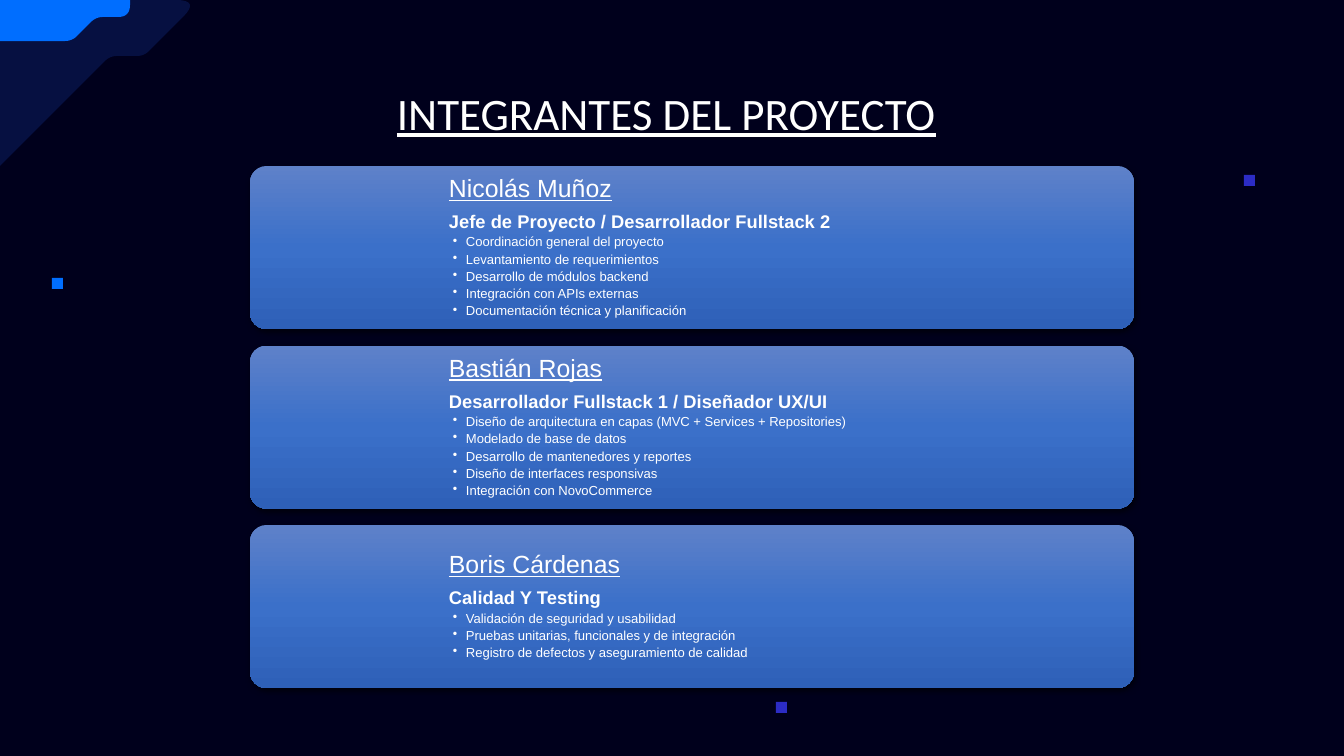
from copy import deepcopy

from lxml import etree
from pptx import Presentation
from pptx import util as u
from pptx.dml.color import RGBColor
from pptx.enum import shapes, text
from pptx.oxml.ns import qn

EMU_PER_PX = 914400 / 134.4
COLORS = {
    "background": "00001C",
    "navy": "061041",
    "azure": "006EFF",
    "violet": "2C2CC5",
    "white": "FFFFFF",
    "shadow": "000000",
    "card_top": "5E81C9",
    "card_middle": "3B70C9",
    "card_bottom": "2E60B8",
}
MEMBERS = [
    ("Nicolás Muñoz", "Jefe de Proyecto / Desarrollador Fullstack 2", [
        "Coordinación general del proyecto",
        "Levantamiento de requerimientos",
        "Desarrollo de módulos backend",
        "Integración con APIs externas",
        "Documentación técnica y planificación",
    ]),
    ("Bastián Rojas", "Desarrollador Fullstack 1 / Diseñador UX/UI", [
        "Diseño de arquitectura en capas (MVC + Services + Repositories)",
        "Modelado de base de datos",
        "Desarrollo de mantenedores y reportes",
        "Diseño de interfaces responsivas",
        "Integración con NovoCommerce",
    ]),
    ("Boris Cárdenas", "Calidad Y Testing", [
        "Validación de seguridad y usabilidad",
        "Pruebas unitarias, funcionales y de integración",
        "Registro de defectos y aseguramiento de calidad",
    ]),
]


def px(length):
    return u.Emu(round(length * EMU_PER_PX))


def rgb(name):
    return RGBColor.from_string(COLORS[name])


def paint(shape, color):
    shape.shadow.inherit = False
    shape.fill.solid()
    shape.fill.fore_color.rgb = rgb(color)
    shape.line.fill.background()


def add_frame(slide, box, inset_x, inset_y):
    frame = slide.shapes.add_textbox(*map(px, box)).text_frame
    frame.word_wrap = True
    frame.vertical_anchor = text.MSO_ANCHOR.MIDDLE
    frame.margin_left = frame.margin_right = px(inset_x)
    frame.margin_top = frame.margin_bottom = px(inset_y)
    return frame


def write(frame, words, size, font="Arial", bold=False, underline=False,
          before=0, spacing=1.0, bullet=False):
    """Fill the frame's empty first paragraph, or add one after the last."""
    paragraph = frame.paragraphs[0] if not frame.text else frame.add_paragraph()
    paragraph.line_spacing = spacing
    paragraph.space_before = u.Pt(before)
    run = paragraph.add_run()
    run.text = words
    run.font.name, run.font.size = font, u.Pt(size)
    run.font.bold, run.font.underline = bold, underline
    run.font.color.rgb = rgb("white")
    if bullet:
        properties = paragraph._p.get_or_add_pPr()
        properties.set("marL", str(px(17)))
        properties.set("indent", str(px(-13)))
        color = etree.SubElement(properties, qn("a:buClr"))
        etree.SubElement(color, qn("a:srgbClr"), val=COLORS["white"])
        etree.SubElement(properties, qn("a:buChar"), char="•")


def rounded_outline(corners):
    """Turn (x, y, trim) corners into points, each corner cut back by its trim."""
    points = []
    for i, (x, y, trim) in enumerate(corners):
        if not trim:
            points.append((x, y))
            continue
        ends = []
        for nx, ny, _ in (corners[i - 1], corners[(i + 1) % len(corners)]):
            share = trim / ((nx - x) ** 2 + (ny - y) ** 2) ** 0.5
            ends.append((x + (nx - x) * share, y + (ny - y) * share))
        (ax, ay), (bx, by) = ends
        for t in (step / 8 for step in range(9)):
            a, c, b = (1 - t) ** 2, 2 * t * (1 - t), t * t
            points.append((a * ax + c * x + b * bx, a * ay + c * y + b * by))
    return points


def add_corner_ornament(slide, left, top):
    layers = [
        ("navy", [(0, 0, 0), (200, 0, 24), (144, 56, 7), (110, 56, 7), (0, 166, 0)]),
        ("azure", [(0, 0, 0), (130, 0, 0), (130, 17, 12), (96, 17, 7),
                   (72, 41, 7), (0, 41, 0)]),
    ]
    for color, corners in layers:
        points = [(px(left + x), px(top + y)) for x, y in rounded_outline(corners)]
        builder = slide.shapes.build_freeform(*points[0])
        builder.add_line_segments(points[1:], close=True)
        paint(builder.convert_to_shape(), color)


def add_squares(slide, size):
    for left, top, color in [(52, 278, "azure"), (1244, 175, "violet"),
                             (776, 702, "violet")]:
        square = slide.shapes.add_shape(shapes.MSO_SHAPE.RECTANGLE,
                                        *map(px, (left, top, size, size)))
        paint(square, color)


def add_title(slide, box):
    write(add_frame(slide, box, 9, 4), "INTEGRANTES DEL PROYECTO",
          size=24.1, font="Calibri", underline=True)


def paint_card(card):
    """Give the card its three-stop vertical gradient and soft shadow."""
    card.line.fill.background()
    card.fill.gradient()
    card.fill.gradient_angle = 270
    stop_list = card._element.spPr.find(".//" + qn("a:gsLst"))
    stop_list.insert(1, deepcopy(stop_list[0]))
    names = ("card_top", "card_middle", "card_bottom")
    for i, (stop, name) in enumerate(zip(card.fill.gradient_stops, names)):
        stop.position = i / 2
        stop.color.rgb = rgb(name)
    card.shadow.inherit = False
    effects = card._element.spPr.find(qn("a:effectLst"))
    shadow = etree.SubElement(effects, qn("a:outerShdw"), blurRad=str(u.Pt(3.2)),
                              dist=str(u.Pt(1.1)), dir="5400000", rotWithShape="0")
    color = etree.SubElement(shadow, qn("a:srgbClr"), val=COLORS["shadow"])
    etree.SubElement(color, qn("a:alpha"), val="63000")


def add_member(slide, box, name, role, tasks):
    left, top, width, height = box
    card = slide.shapes.add_shape(shapes.MSO_SHAPE.ROUNDED_RECTANGLE, *map(px, box))
    card.adjustments[0] = 0.1
    paint_card(card)
    text_offset = 191
    frame = add_frame(slide, (left + text_offset, top, width - text_offset, height), 8, 8)
    write(frame, name, size=13.3, underline=True, spacing=0.9)
    write(frame, role, size=9.8, bold=True, before=5.2, spacing=0.9)
    for task in tasks:
        write(frame, task, size=7, before=1.7, spacing=0.9, bullet=True)


def add_team(slide, box):
    left, top, width, height = box
    card_height = 163
    pitch = (height - card_height) / (len(MEMBERS) - 1)
    for i, member in enumerate(MEMBERS):
        add_member(slide, (left, top + i * pitch, width, card_height), *member)


def main():
    deck = Presentation()
    deck.slide_width, deck.slide_height = px(1344), px(756)
    slide = deck.slides.add_slide(deck.slide_layouts[6])
    slide.background.fill.solid()
    slide.background.fill.fore_color.rgb = rgb("background")
    add_corner_ornament(slide, 0, 0)
    add_squares(slide, 11)
    add_title(slide, (388, 34, 567, 157))
    add_team(slide, (250, 166, 884, 522))
    deck.save("out.pptx")


if __name__ == "__main__":
    main()
